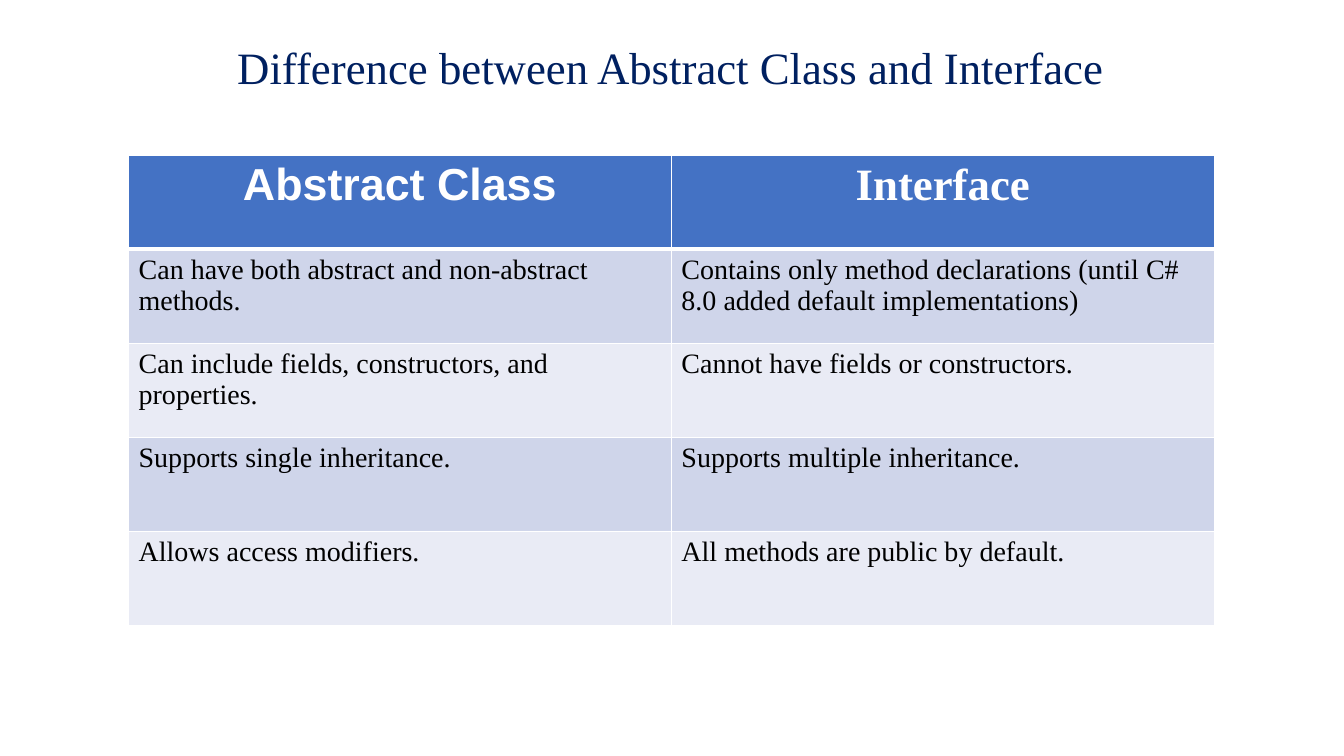
from dataclasses import dataclass

from lxml.etree import SubElement
from pptx import Presentation
from pptx.dml.color import RGBColor
from pptx.enum.text import PP_ALIGN as Align
from pptx.oxml.ns import qn
from pptx.util import Cm, Pt


@dataclass(frozen=True)
class Theme:
    navy: str = "002060"
    header: str = "4472C4"
    bands: tuple = ("CFD5EA", "E9EBF5")
    white: str = "FFFFFF"
    black: str = "000000"
    serif: str = "Times New Roman"
    sans: str = "Arial"
    large: int = 32
    body: int = 20


THEME = Theme()
ROWS = [
    ("Abstract Class", "Interface"),
    ("Can have both abstract and non-abstract methods.",
     "Contains only method declarations (until C# 8.0 added default implementations)"),
    ("Can include fields, constructors, and properties.",
     "Cannot have fields or constructors."),
    ("Supports single inheritance.", "Supports multiple inheritance."),
    ("Allows access modifiers.", "All methods are public by default."),
]


def write(tf, text, color, align=Align.LEFT, **font):
    p = tf.paragraphs[0]
    p.alignment = align
    r = p.add_run()
    r.text = text
    r.font.color.rgb = RGBColor.from_string(color)
    for name, value in font.items():
        setattr(r.font, name, value)


def add_borders(cell, widths):
    """Draw white cell borders; widths maps L, R, T, B to points."""
    tcPr = cell._tc.get_or_add_tcPr()
    for i, (side, width) in enumerate(widths.items()):
        ln = SubElement(tcPr, qn(f"a:ln{side}"), w=str(Pt(width)))
        fill = SubElement(ln, qn("a:solidFill"))
        SubElement(fill, qn("a:srgbClr"), val=THEME.white)
        tcPr.insert(i, ln)


prs = Presentation()
prs.slide_width, prs.slide_height = Cm(33.87), Cm(19.05)
s = prs.slides.add_slide(prs.slide_layouts[6])

title = s.shapes.add_textbox(Cm(0.38), Cm(0.76), Cm(33.05), Cm(2.82))
tf = title.text_frame
tf.word_wrap = True
tf.margin_top = Cm(0.25)
write(tf, "Difference between Abstract Class and Interface", THEME.navy,
      Align.CENTER, name=THEME.serif, size=Pt(THEME.large))

table = s.shapes.add_table(len(ROWS), 2, Cm(3.24), Cm(3.91),
                           Cm(27.36), Cm(11.85)).table
for i, texts in enumerate(ROWS):
    is_header = i == 0
    for j, text in enumerate(texts):
        cell = table.cell(i, j)
        cell.fill.solid()
        fill = THEME.header if is_header else THEME.bands[(i - 1) % 2]
        cell.fill.fore_color.rgb = RGBColor.from_string(fill)
        add_borders(cell, {"L": 1, "R": 1, "T": 3 if i == 1 else 1,
                           "B": 3 if is_header else 1})
        write(cell.text_frame, text,
              THEME.white if is_header else THEME.black,
              Align.CENTER if is_header else Align.LEFT,
              name=THEME.sans if is_header and j == 0 else THEME.serif,
              size=Pt(THEME.large if is_header else THEME.body),
              bold=is_header)

prs.save("out.pptx")
